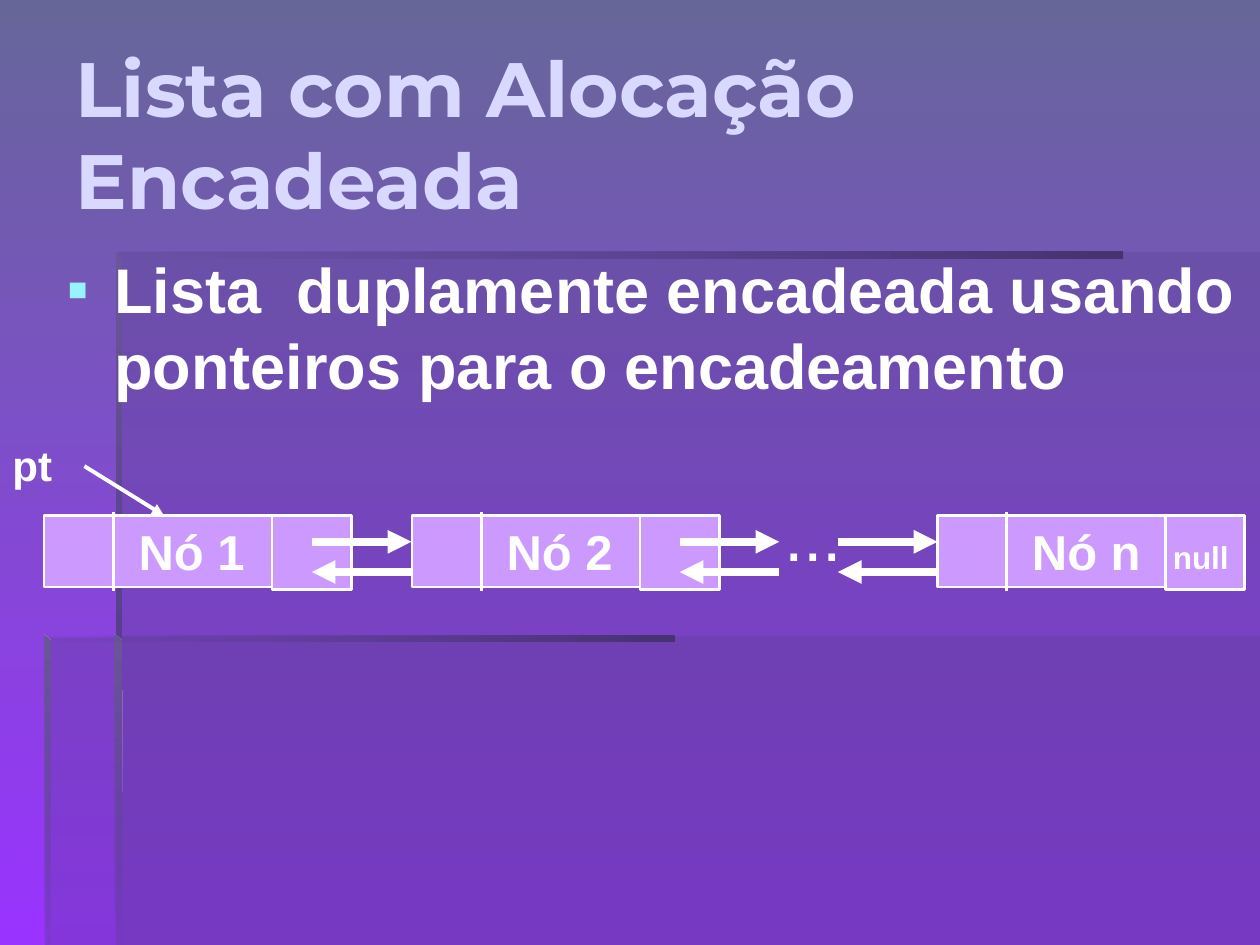
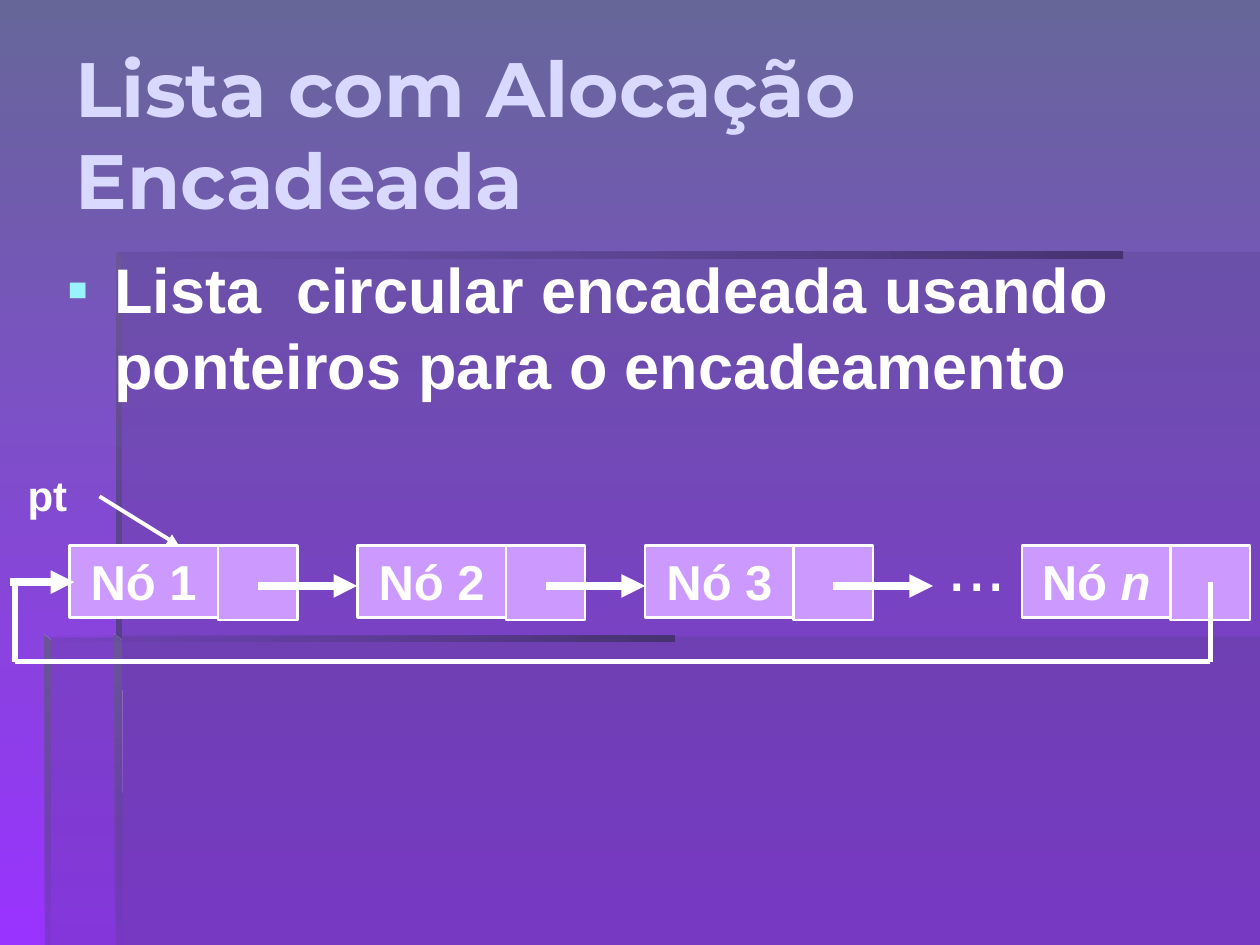
from pptx import Presentation
from pptx.dml.color import RGBColor
from pptx.enum.shapes import MSO_CONNECTOR as CONNECTOR, MSO_SHAPE as SHAPE
from pptx.enum.text import MSO_ANCHOR as ANCHOR, PP_ALIGN as ALIGN
from pptx.oxml.ns import qn
from pptx.util import Inches, Pt
from lxml.etree import SubElement

# Shared look
WIDTH, HEIGHT = 10, 7.5
WHITE, NODE_FILL, TITLE_COLOR, BULLET_COLOR = "FFFFFF", "CC99FF", "D9D9FF", "99F3FF"
BACKGROUND = ("666699", "9933FF")
PANEL, BAR, EDGE = "573F8B", "473371", "6B5698"
TITLE_FONT, BODY_FONT = "Montserrat", "Arial"
DOWN, LEFTWARD = 90, 180
TITLE = "Lista com Alocação Encadeada"

# Backdrop pieces: outline, colours, opacity of the last colour, direction
BACKDROP = [
    ([(0.92, 5.05), (0.92, HEIGHT), (WIDTH, HEIGHT), (WIDTH, 5.05)], [PANEL], 30, None),
    ([(0.94, 5.06), (0.36, 5.06), (0.36, HEIGHT), (WIDTH, HEIGHT), (WIDTH, 2), (0.94, 2)],
     [PANEL], 30, None),
    ([(0.92, 2), (0.92, 2.05), (8.91, 2.05), (8.91, 2)], [BAR, PANEL], 0, LEFTWARD),
    ([(0.92, 2), (0.92, 5.1), (0.97, 5.1), (0.96, 2.04)], [EDGE, PANEL], 100, DOWN),
    ([(0.91, HEIGHT), (0.97, HEIGHT), (0.96, 5.08), (0.91, 5.04)], [EDGE, PANEL], 0, DOWN),
    ([(0.35, 5.04), (0.35, 5.09), (5.35, 5.09), (5.35, 5.04)], [BAR, PANEL], 0, LEFTWARD),
    ([(0.35, 5.04), (0.35, HEIGHT), (0.4, HEIGHT), (0.4, 5.09)], [EDGE, PANEL], 10, DOWN),
]

# Content: node labels are lists of (text, italic) runs
DOUBLE_LIST = {
    "statement": "Lista  duplamente encadeada usando ponteiros para o encadeamento",
    "top": 4.09, "body_width": 1.81, "label_inset": 0.75, "align": ALIGN.LEFT,
    "nodes": [(0.35, [("Nó 1", False)]), (3.27, [("Nó 2", False)]), (7.44, [("Nó n", False)])],
    "pointer": 0, "dots": 5.63,
}
CIRCULAR_LIST = {
    "statement": "Lista  circular encadeada usando ponteiros para o encadeamento",
    "top": 4.33, "body_width": 1.18, "label_inset": 0.1, "align": ALIGN.CENTER,
    "nodes": [(0.55 + 2.285 * i, [(f"Nó {i + 1}", False)]) for i in range(3)]
             + [(8.11, [("Nó ", False), ("n", True)])],
    "pointer": 0.12, "dots": 6.93,
}
BODY_HEIGHT, LINK_WIDTH, LINK_HEIGHT = 0.57, 0.63, 0.59
LINK_MIDDLE, ARROW_LENGTH = LINK_WIDTH / 2, 0.79
NEXT_DROP, PREVIOUS_DROP, SINGLE_DROP = 0.21, 0.45, 0.32


def rgb(color):
    return RGBColor.from_string(color)


def paint_gradient(fill, colors, direction):
    fill.gradient()
    fill.gradient_angle = 360 - direction
    for stop, color in zip(fill.gradient_stops, colors):
        stop.color.rgb = rgb(color)


def paint_solid(fill, color):
    fill.solid()
    fill.fore_color.rgb = rgb(color)


def write(shape, runs, size, color=WHITE, font=BODY_FONT, bold=True,
          align=ALIGN.LEFT, anchor=ANCHOR.TOP, inset=0.1):
    frame = shape.text_frame
    frame.word_wrap = True
    frame.vertical_anchor = anchor
    frame.margin_left, frame.margin_right = Inches(inset), Inches(0.1)
    frame.margin_top = frame.margin_bottom = Inches(0.05)
    paragraph = frame.paragraphs[0]
    paragraph.alignment = align
    for text, italic in runs:
        run = paragraph.add_run()
        run.text = text
        run.font.name, run.font.size = font, Pt(size)
        run.font.bold, run.font.italic = bold, italic
        run.font.color.rgb = rgb(color)
    return paragraph


def add_text(slide, box, text, size, **style):
    shape = slide.shapes.add_textbox(*map(Inches, box))
    return write(shape, [(text, False)], size, **style)


def add_box(slide, *box):
    shape = slide.shapes.add_shape(SHAPE.RECTANGLE, *map(Inches, box))
    shape.shadow.inherit = False
    paint_solid(shape.fill, NODE_FILL)
    shape.line.color.rgb = rgb(WHITE)
    shape.line.width = Pt(1.5)
    return shape


def add_line(slide, start, end, width, arrow=False):
    line = slide.shapes.add_connector(CONNECTOR.STRAIGHT, *map(Inches, start + end))
    line.line.color.rgb = rgb(WHITE)
    line.line.width = Pt(width)
    properties = line._element.spPr
    if arrow:
        SubElement(properties.find(qn("a:ln")), qn("a:tailEnd"), type="triangle")
    SubElement(properties, qn("a:effectLst"))


def add_bullet(paragraph):
    properties = paragraph._p.get_or_add_pPr()
    properties.set("marL", str(Inches(0.38)))
    properties.set("indent", str(-Inches(0.38)))
    color = SubElement(properties, qn("a:buClr"))
    SubElement(color, qn("a:srgbClr"), val=BULLET_COLOR)
    SubElement(properties, qn("a:buFont"), typeface=BODY_FONT)
    SubElement(properties, qn("a:buChar"), char="▪")


def add_backdrop(slide):
    paint_gradient(slide.background.fill, BACKGROUND, DOWN)
    for outline, colors, opacity, direction in BACKDROP:
        points = [(Inches(x), Inches(y)) for x, y in outline]
        builder = slide.shapes.build_freeform(*points[0])
        builder.add_line_segments(points[1:], close=True)
        shape = builder.convert_to_shape()
        shape.shadow.inherit = False
        if direction is None:
            paint_solid(shape.fill, colors[0])
        else:
            paint_gradient(shape.fill, colors, direction)
        last_color = list(shape._element.iter(qn("a:srgbClr")))[-1]
        SubElement(last_color, qn("a:alpha"), val=str(opacity * 1000))
        shape.line.fill.background()


def add_list_slide(presentation, content):
    """Backdrop, title, statement, and the nodes with their pt label and dots."""
    slide = presentation.slides.add_slide(presentation.slide_layouts[6])
    add_backdrop(slide)
    add_text(slide, (0.5, 0.27, 9.17, 1.57), TITLE, 44,
             color=TITLE_COLOR, font=TITLE_FONT, anchor=ANCHOR.MIDDLE)
    add_bullet(add_text(slide, (0.43, 1.94, 9.76, 1.57), content["statement"], 36))

    top, body_width = content["top"], content["body_width"]
    for left, label in content["nodes"]:
        body = add_box(slide, left, top, body_width, BODY_HEIGHT)
        write(body, label, 28, align=content["align"], inset=content["label_inset"])
        add_box(slide, left + body_width, top, LINK_WIDTH, LINK_HEIGHT)

    pointer = content["pointer"]
    add_text(slide, (pointer, top - 0.65, 0.75, 0.5), "pt", 24)
    add_line(slide, (pointer + 0.67, top - 0.39), (pointer + 1.3, top), 2.25, arrow=True)
    add_text(slide, (content["dots"], top - 0.24, 1.65, 0.77), "...", 40,
             bold=False, align=ALIGN.CENTER)
    return slide


def link_starts(content):
    """Middle of the link cell of every node but the last."""
    return [left + content["body_width"] + LINK_MIDDLE for left, _ in content["nodes"][:-1]]


def add_double_list(presentation):
    content = DOUBLE_LIST
    slide = add_list_slide(presentation, content)
    top = content["top"]
    last_left = content["nodes"][-1][0]
    for left, _ in content["nodes"]:
        add_line(slide, (left + 0.55, top - 0.03), (left + 0.55, top + 0.6), 1.5)
    for start in link_starts(content) + [last_left - ARROW_LENGTH]:
        end = start + ARROW_LENGTH
        add_line(slide, (start, top + NEXT_DROP), (end, top + NEXT_DROP), 4.5, arrow=True)
        add_line(slide, (end, top + PREVIOUS_DROP), (start, top + PREVIOUS_DROP), 4.5, arrow=True)
    add_text(slide, (last_left + 1.77, top + 0.13, 0.75, 0.4), "null", 18)


def add_circular_list(presentation):
    content = CIRCULAR_LIST
    slide = add_list_slide(presentation, content)
    top = content["top"]
    for start in link_starts(content):
        add_line(slide, (start, top + SINGLE_DROP), (start + ARROW_LENGTH, top + SINGLE_DROP),
                 4.5, arrow=True)
    # Return path from the last node to the first
    first_left, last_left = content["nodes"][0][0], content["nodes"][-1][0]
    right, left = last_left + content["body_width"] + LINK_MIDDLE, 0.12
    upper, lower = top + 0.29, top + 0.92
    path = [(right, upper), (right, lower), (left, lower), (left, upper)]
    for start, end in zip(path, path[1:]):
        add_line(slide, start, end, 3)
    add_line(slide, (left - 0.04, upper), (first_left + 0.04, upper), 4.5, arrow=True)


def main():
    presentation = Presentation()
    presentation.slide_width, presentation.slide_height = Inches(WIDTH), Inches(HEIGHT)
    add_double_list(presentation)
    add_circular_list(presentation)
    presentation.save("out.pptx")


if __name__ == "__main__":
    main()
